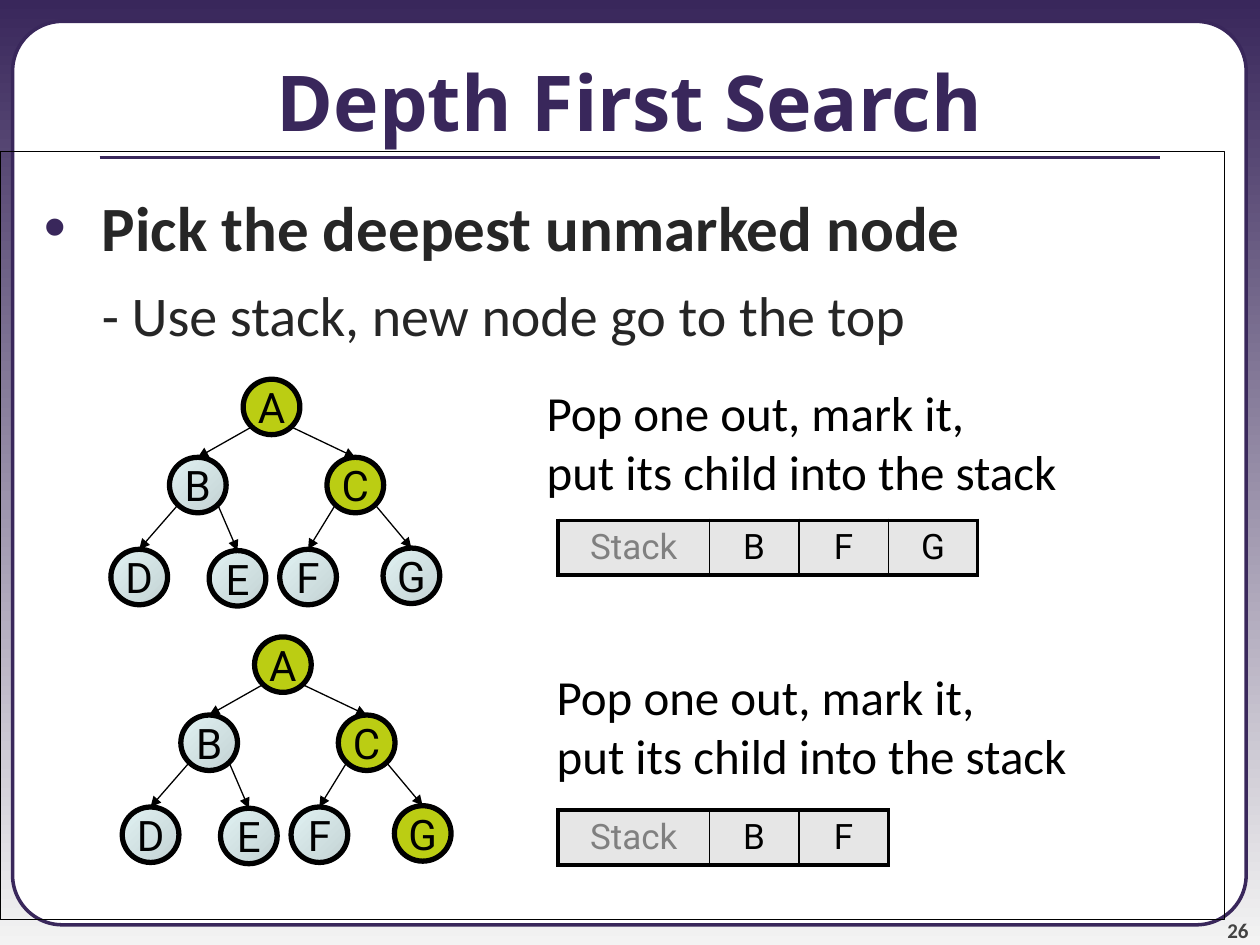
from lxml import etree
from pptx import Presentation
from pptx.dml.color import RGBColor
from pptx.enum.shapes import MSO_CONNECTOR, MSO_SHAPE
from pptx.enum.text import MSO_ANCHOR, PP_ALIGN
from pptx.oxml.ns import qn
from pptx.util import Inches, Pt

COLS, ROWS = 100, 75  # layout grid over the 10 x 7.5 inch slide
PURPLE, BLACK, MARKED = "39275B", "000000", "BBCD13"
UNMARKED = ("E1F2F3", "C3D2D3")
NODE_W, NODE_H = 4.5, 4.4

# Node centres in grid cells, and parent-child pairs
NODES = {"A": (21.55, 32.3), "B": (15.7, 38.5), "C": (28.2, 38.5),
         "D": (11.05, 45.8), "E": (18.85, 45.9),
         "F": (24.45, 45.8), "G": (32.65, 45.7)}
EDGES = ["AB", "AC", "BD", "BE", "CF", "CG"]


def rgb(color):
    return RGBColor.from_string(color)


class Deck:
    def __init__(self):
        self.prs = Presentation()
        self.prs.slide_width, self.prs.slide_height = Inches(10), Inches(7.5)
        self.s = self.prs.slides.add_slide(self.prs.slide_layouts[6])

    def x(self, cols):
        return round(self.prs.slide_width * cols / COLS)

    def y(self, rows):
        return round(self.prs.slide_height * rows / ROWS)

    def box(self, left, top, width, height):
        return self.x(left), self.y(top), self.x(width), self.y(height)

    def gradient(self, fill, colors, angle):
        fill.gradient()
        fill.gradient_angle = 360 - angle
        for stop, color in zip(fill.gradient_stops, colors):
            stop.color.rgb = rgb(color)

    def shape(self, kind, at, fill, line, width, parent=None):
        sp = (parent or self.s).shapes.add_shape(kind, *self.box(*at))
        sp.shadow.inherit = False
        if fill is None:
            sp.fill.background()
        elif isinstance(fill, tuple):
            self.gradient(sp.fill, fill, 45)
        else:
            sp.fill.solid()
            sp.fill.fore_color.rgb = rgb(fill)
        sp.line.color.rgb = rgb(line)
        sp.line.width = Pt(width)
        return sp

    def line(self, start, end, color, width, arrow=False, parent=None):
        cn = (parent or self.s).shapes.add_connector(
            MSO_CONNECTOR.STRAIGHT, self.x(start[0]), self.y(start[1]),
            self.x(end[0]), self.y(end[1]))
        cn.line.color.rgb = rgb(color)
        cn.line.width = Pt(width)
        if arrow:
            etree.SubElement(cn.line._get_or_add_ln(), qn("a:tailEnd"),
                             type="triangle")
        etree.SubElement(cn._element.spPr, qn("a:effectLst"))

    def run(self, p, text, size, font, color, bold=False):
        r = p.add_run()
        r.text = text
        r.font.size, r.font.name, r.font.bold = Pt(size), font, bold
        r.font.color.rgb = rgb(color)

    def text(self, at, lines, size, font, color, bold=False,
             align=PP_ALIGN.LEFT, anchor=MSO_ANCHOR.TOP, inset=True):
        tf = self.s.shapes.add_textbox(*self.box(*at)).text_frame
        tf.word_wrap = True
        tf.vertical_anchor = anchor
        if not inset:
            tf.margin_left = tf.margin_right = 0
            tf.margin_top = tf.margin_bottom = 0
        for i, line in enumerate(lines):
            p = tf.add_paragraph() if i else tf.paragraphs[0]
            p.alignment = align
            self.run(p, line, size, font, color, bold)

    def body(self, at, heading, detail):
        tf = self.shape(MSO_SHAPE.RECTANGLE, at, None, BLACK, 0.75).text_frame
        tf.word_wrap = True
        tf.vertical_anchor = MSO_ANCHOR.TOP
        tf.margin_top = Inches(0.3)
        p = tf.paragraphs[0]
        pPr = p._p.get_or_add_pPr()
        pPr.set("marL", str(Inches(0.71)))
        pPr.set("indent", str(-Inches(0.46)))
        clr = etree.SubElement(pPr, qn("a:buClr"))
        etree.SubElement(clr, qn("a:srgbClr"), val=PURPLE)
        etree.SubElement(pPr, qn("a:buFont"), typeface="Arial")
        etree.SubElement(pPr, qn("a:buChar"), char="•")
        p.alignment = PP_ALIGN.LEFT
        self.run(p, heading, 36, "Calibri", "262626", True)
        p = tf.add_paragraph()
        p._p.get_or_add_pPr().set("marL", str(Inches(0.71)))
        p.alignment = PP_ALIGN.LEFT
        p.space_before = Pt(9)
        self.run(p, detail, 32, "Calibri", "262626")

    def border(self, cell, side, width):
        ln = etree.Element(qn(f"a:ln{side}"), w=str(Pt(width)))
        fill = etree.SubElement(ln, qn("a:solidFill"))
        etree.SubElement(fill, qn("a:srgbClr"), val=BLACK)
        return ln

    def stack(self, left, top, items):
        labels = ["Stack", *items]
        widths = [12] + [7.1] * len(items)
        frame = self.s.shapes.add_table(
            1, len(labels), *self.box(left, top, sum(widths), 4.3))
        table = frame.table
        table.first_row = table.horz_banding = False
        last = len(labels) - 1
        for i, (label, width) in enumerate(zip(labels, widths)):
            table.columns[i].width = self.x(width)
            cell = table.cell(0, i)
            cell.fill.solid()
            cell.fill.fore_color.rgb = rgb("E6E6E6")
            p = cell.text_frame.paragraphs[0]
            p.alignment = PP_ALIGN.CENTER
            self.run(p, label, 20, "Roboto", BLACK if i else "808080")
            # Heavy outer frame, thin dividers
            sides = {"L": 1 if i else 2.25, "R": 1 if i < last else 2.25,
                     "T": 2.25, "B": 2.25}
            tcPr = cell._tc.get_or_add_tcPr()
            for n, (side, weight) in enumerate(sides.items()):
                tcPr.insert(n, self.border(cell, side, weight))

    def tree(self, dx, dy, marked):
        group = self.s.shapes.add_group_shape()
        at = {name: (x + dx, y + dy) for name, (x, y) in NODES.items()}
        for parent, child in EDGES:
            (px, py), (cx, cy) = at[parent], at[child]
            side = 1.6 if cx > px else -1.6
            self.line((px + side, py + 1.6), (cx, cy - NODE_H / 2),
                      BLACK, 0.75, True, group)
        for name, (x, y) in at.items():
            sp = self.shape(
                MSO_SHAPE.OVAL,
                (x - NODE_W / 2, y - NODE_H / 2, NODE_W, NODE_H),
                MARKED if name in marked else UNMARKED, BLACK, 3, group)
            tf = sp.text_frame
            tf.word_wrap = False
            tf.vertical_anchor = MSO_ANCHOR.MIDDLE
            p = tf.paragraphs[0]
            p.alignment = PP_ALIGN.CENTER
            self.run(p, name, 24, "Roboto", BLACK)


def main():
    d = Deck()

    # Background, panel, page number and title rule
    d.gradient(d.s.background.fill, (PURPLE, "F3F3F3"), 90)
    panel = d.shape(MSO_SHAPE.ROUNDED_RECTANGLE, (1, 1.7, 97.9, 71.7),
                    "FFFFFF", PURPLE, 2)
    panel.adjustments[0] = 0.055
    d.text((90.8, 70.8, 8.3, 4), ["26"], 12, "Calibri", "424242", True,
           PP_ALIGN.RIGHT, MSO_ANCHOR.BOTTOM, inset=False)
    d.line((7.9, 12.5), (92.1, 12.5), PURPLE, 2.25)

    # Title and main points
    d.text((0, 1.7, 100, 12.5), ["Depth First Search"], 44, "Open Sans",
           PURPLE, True, PP_ALIGN.CENTER, MSO_ANCHOR.MIDDLE)
    d.body((0, 12, 97.2, 61), "Pick the deepest unmarked node",
           "- Use stack, new node go to the top")

    # Two search steps: explanation, stack contents, tree
    step = ["Pop one out, mark it,", "put its child into the stack"]
    for left, top in ((42.4, 29.9), (43.2, 52.4)):
        d.text((left, top, 54, 10.4), step, 28, "Calibri", BLACK)
    d.stack(44.3, 41.3, "BFG")
    d.stack(44.3, 64.3, "BF")
    d.tree(0, 0, "AC")
    d.tree(0.9, 20.45, "ACG")

    d.prs.save("out.pptx")


if __name__ == "__main__":
    main()
